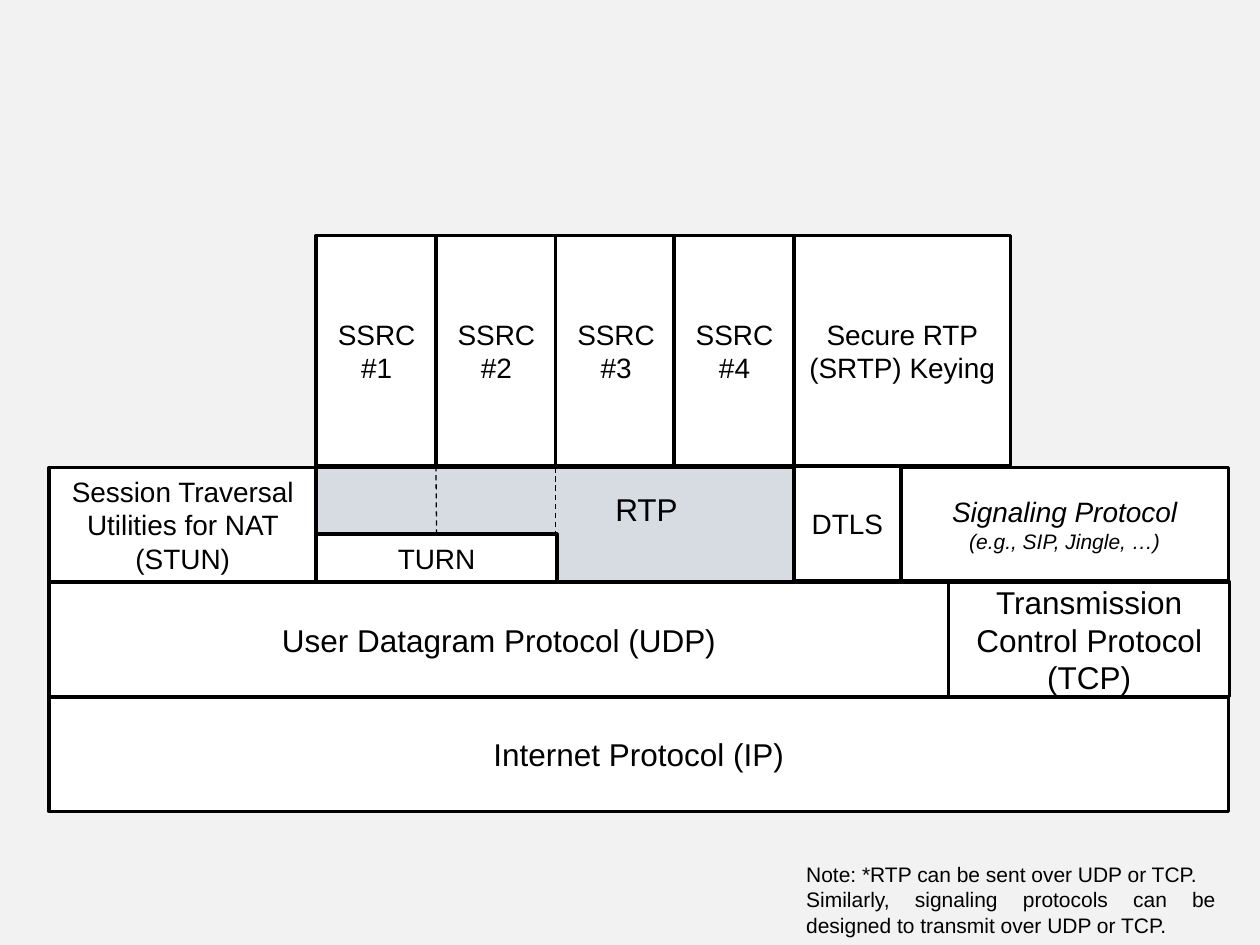
from lxml import etree
from pptx import Presentation
from pptx.dml.color import RGBColor
from pptx.enum.dml import MSO_LINE
from pptx.enum.shapes import MSO_CONNECTOR, MSO_SHAPE
from pptx.enum.text import MSO_ANCHOR, MSO_AUTO_SIZE, PP_ALIGN
from pptx.oxml.ns import qn
from pptx.util import Pt

RECTANGLE = MSO_SHAPE.RECTANGLE
STRAIGHT = MSO_CONNECTOR.STRAIGHT
DASH, SHORT_DASH = MSO_LINE.DASH, MSO_LINE.SQUARE_DOT
CENTER, JUSTIFY = PP_ALIGN.CENTER, PP_ALIGN.JUSTIFY
TOP_SIDE, LEFT_SIDE = 0, 1
PX = 9144

THEME = {
    "background": RGBColor.from_string("F2F2F2"),
    "box": RGBColor.from_string("FFFFFF"),
    "media": RGBColor.from_string("D7DCE3"),
    "ink": RGBColor.from_string("000000"),
    "font": "Arial",
    "large": Pt(18),
    "medium": Pt(16),
    "small": Pt(12),
    "border": Pt(2),
    "divider": Pt(0.75),
}


def write_text(text_frame, lines, alignment, italic=False):
    text_frame.word_wrap = True
    for index, (text, size) in enumerate(lines):
        paragraph = text_frame.paragraphs[0] if index == 0 else text_frame.add_paragraph()
        paragraph.alignment = alignment
        run = paragraph.add_run()
        run.text = text
        run.font.color.rgb = THEME["ink"]
        font_format = {"name": THEME["font"], "size": THEME[size], "italic": italic}
        for name, value in font_format.items():
            setattr(run.font, name, value)


def add_box(bounds, lines, fill="box", italic=False):
    shape = slide.shapes.add_shape(RECTANGLE, *[value * PX for value in bounds])
    shape.shadow.inherit = False
    shape.fill.solid()
    shape.fill.fore_color.rgb = THEME[fill]
    shape.line.color.rgb = THEME["ink"]
    shape.line.width = THEME["border"]
    shape.text_frame.vertical_anchor = MSO_ANCHOR.MIDDLE
    write_text(shape.text_frame, lines, CENTER, italic)
    return shape


presentation = Presentation()
presentation.slide_width = 1000 * PX
presentation.slide_height = 750 * PX
slide = presentation.slides.add_slide(presentation.slide_layouts[6])
slide.background.fill.solid()
slide.background.fill.fore_color.rgb = THEME["background"]

left, row_height = 39, 91
media_left, media_width, media_top = 251, 379, 371
udp_top, ip_top = media_top + row_height, media_top + 2 * row_height
source_top, source_height = 187, 183
source_count, source_width = 4, 96
source_lefts = [media_left + round(i * media_width / source_count) for i in range(source_count)]
keying_left = media_left + media_width

add_box((left, ip_top, 936, row_height), [("Internet Protocol (IP)", "large")])
add_box((left, udp_top, 714, row_height), [("User Datagram Protocol (UDP)", "large")])
add_box((left, media_top, 212, row_height), [("Session Traversal Utilities for NAT (STUN)", "medium")])

media = add_box((media_left, media_top, media_width, row_height), [("RTP", "large")], fill="media")
media.text_frame.margin_left = 155 * PX
media.text_frame.margin_bottom = 30 * PX

for number, source_left in enumerate(source_lefts, 1):
    add_box((source_left, source_top, source_width, source_height), [(f"SSRC #{number}", "medium")])

turn = add_box((media_left, 424, 191, 38), [("TURN", "medium")])
add_box((753, udp_top, 223, row_height), [("Transmission Control Protocol (TCP)", "large")])
add_box(
    (715, media_top, 260, 90),
    [("Signaling Protocol", "medium"), ("(e.g., SIP, Jingle, …)", "small")],
    italic=True,
)
add_box((keying_left, 370, 85, row_height), [("DTLS", "medium")])
add_box((keying_left, source_top, 172, source_height), [("Secure RTP (SRTP) Keying", "medium")])

note = slide.shapes.add_textbox(keying_left * PX, 679 * PX, 345 * PX, 71 * PX)
note.text_frame.auto_size = MSO_AUTO_SIZE.SHAPE_TO_FIT_TEXT
write_text(
    note.text_frame,
    [
        ("Note: *RTP can be sent over UDP or TCP.", "small"),
        ("Similarly, signaling protocols can be designed to transmit over UDP or TCP.", "small"),
    ],
    JUSTIFY,
)

dividers = [
    (source_lefts[0], 370, 443, SHORT_DASH, LEFT_SIDE),
    (source_lefts[1], 370, 424, DASH, TOP_SIDE),
    (source_lefts[2], 371, 425, DASH, None),
]
for x, top, bottom, dash, turn_side in dividers:
    divider = slide.shapes.add_connector(STRAIGHT, x * PX, top * PX, x * PX, bottom * PX)
    divider.line.color.rgb = THEME["ink"]
    for name, value in {"width": THEME["divider"], "dash_style": dash}.items():
        setattr(divider.line, name, value)
    etree.SubElement(divider._element.spPr, qn("a:effectLst"))
    if turn_side is not None:
        divider.end_connect(turn, turn_side)

presentation.save("out.pptx")
